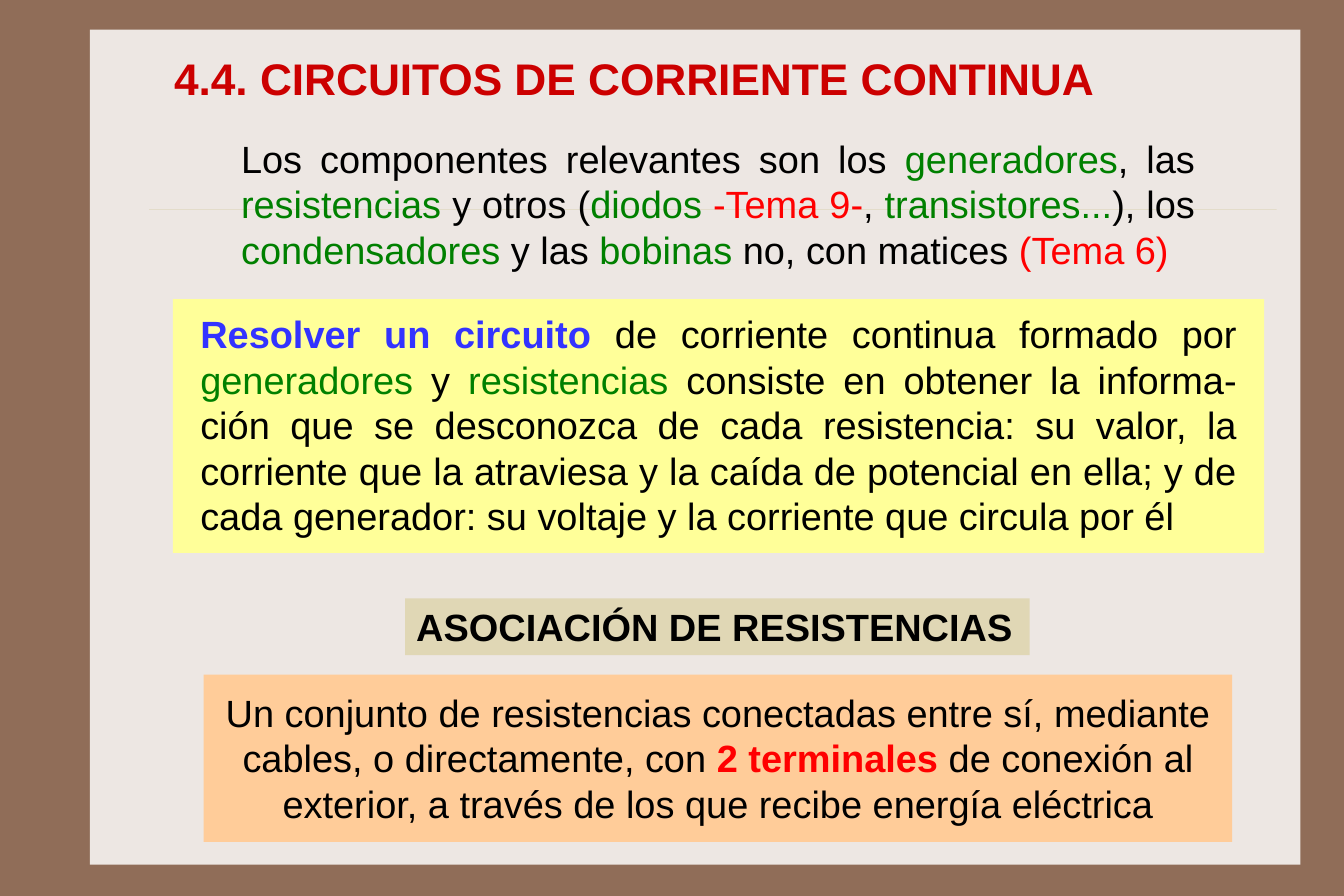
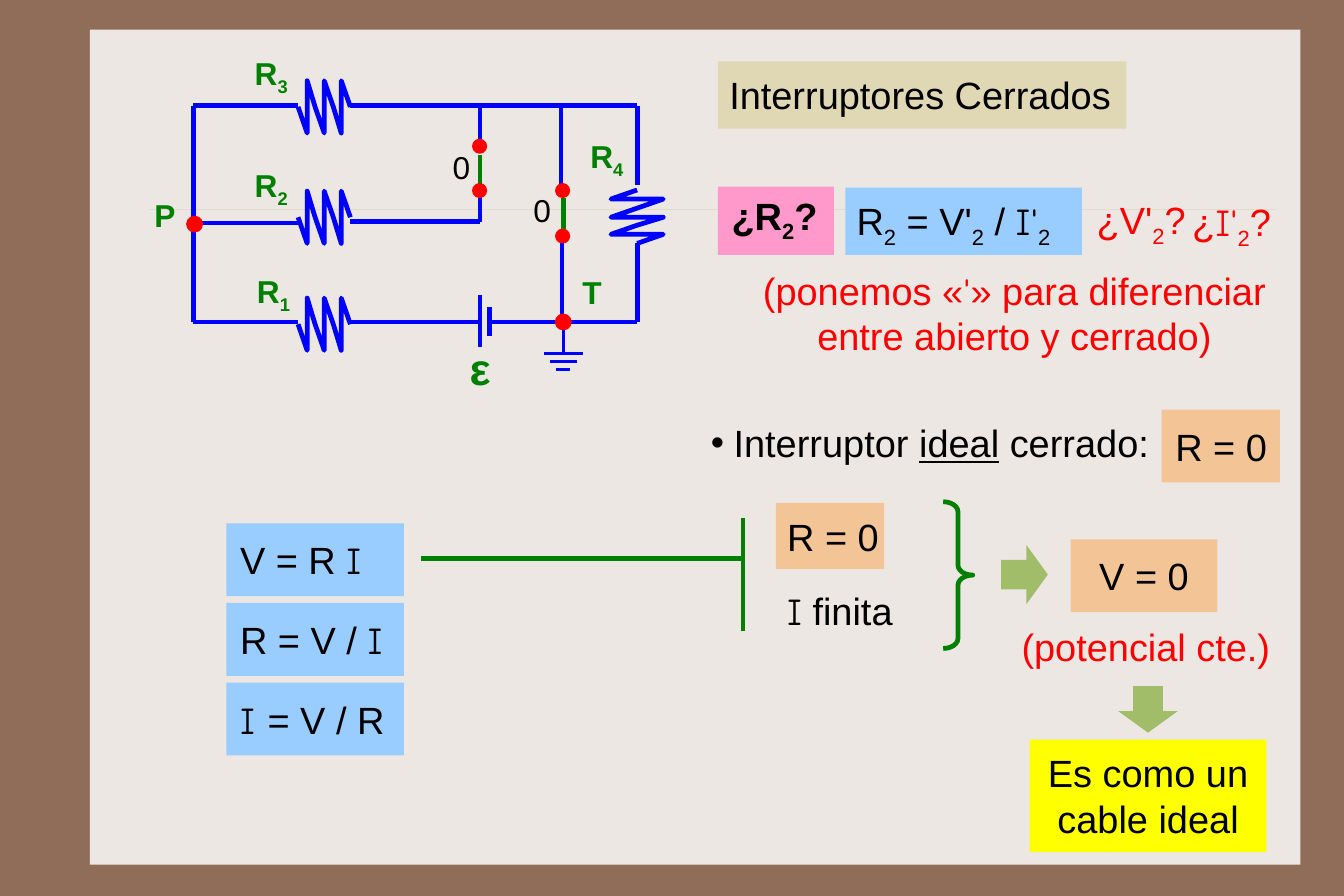
"""Build two slides on direct-current circuits."""
from dataclasses import dataclass

from lxml import etree
from pptx import Presentation
from pptx.dml.color import RGBColor
from pptx.enum import shapes, text
from pptx.oxml import ns
from pptx.util import Pt

PX = 9144
KIND = shapes.MSO_SHAPE
SIDE = text.PP_ALIGN
ANCHOR = text.MSO_ANCHOR


@dataclass(frozen=True)
class Theme:
    """Hold the colours, fonts and type sizes."""
    frame: str = "906D58"
    paper: str = "EDE7E3"
    rule: str = "CBBD83"
    black: str = "000000"
    head: str = "CC0000"
    red: str = "FF0000"
    green: str = "008000"
    blue: str = "3333FF"
    wire: str = "0000FF"
    cream: str = "FFFF99"
    peach: str = "FFCC99"
    sand: str = "E0D7B5"
    sky: str = "99CCFF"
    tan: str = "F3C495"
    pink: str = "FF99CC"
    sun: str = "FFFF00"
    leaf: str = "A1BD69"
    font: str = "Arial"
    alt: str = "Comic Neue"
    big: int = 28
    body: int = 24
    small: int = 20


LOOK = Theme()
THIN = (10, 5, 10, 5)
MID = (10, 9, 10, 9)
WIDE = (12, 12, 12, 12)


def rgb(name):
    """Return a theme colour."""
    return RGBColor.from_string(getattr(LOOK, name))


def place(shape, box):
    """Set a shape's box, given in px."""
    shape.left, shape.top, shape.width, shape.height = (v * PX for v in box)


def paint(shape, fill=None, line=None, width=3):
    """Set the fill and line of a shape."""
    if fill:
        shape.fill.solid()
        shape.fill.fore_color.rgb = rgb(fill)
    else:
        shape.fill.background()
    if line:
        shape.line.color.rgb = rgb(line)
        shape.line.width = Pt(width)
    else:
        shape.line.fill.background()


def mark(run, keys):
    """Apply style words to one run."""
    for key in keys.split():
        if key == "sub":
            run._r.get_or_add_rPr().set("baseline", "-25000")
        elif key == "alt":
            run.font.name = LOOK.alt
        elif key == "bold":
            run.font.bold = True
        elif key == "under":
            run.font.underline = True
        else:
            run.font.color.rgb = rgb(key)


def write(shape, runs, size=LOOK.body, color="black", bold=False, ins=THIN,
          side=SIDE.LEFT, anchor=ANCHOR.TOP, wrap=False, bullet=0):
    """Fill a shape with one paragraph of styled runs."""
    frame = shape.text_frame
    frame.auto_size = text.MSO_AUTO_SIZE.NONE
    frame.word_wrap = wrap
    frame.vertical_anchor = anchor
    (frame.margin_left, frame.margin_top,
     frame.margin_right, frame.margin_bottom) = (v * PX for v in ins)
    para = frame.paragraphs[0]
    para.alignment = side
    if bullet:
        props = para._p.get_or_add_pPr()
        props.set("marL", str(bullet * PX))
        props.set("indent", str(-bullet * PX))
        etree.SubElement(props, ns.qn("a:buFont")).set("typeface", LOOK.font)
        etree.SubElement(props, ns.qn("a:buChar")).set("char", "•")
    font = para.font
    font.name, font.size, font.bold = LOOK.font, Pt(size), bold
    font.color.rgb = rgb(color)
    for part in [runs] if isinstance(runs, str) else runs:
        words, keys = (part, "") if isinstance(part, str) else part
        run = para.add_run()
        run.text = words
        mark(run, keys)


def form(slide, kind, box, fill=None, line=None, width=3, adj=()):
    """Add a preset shape."""
    shape = slide.shapes.add_shape(kind, *(v * PX for v in box))
    shape.shadow.inherit = False
    paint(shape, fill, line, width)
    for i, value in enumerate(adj):
        shape.adjustments[i] = value
    return shape


def panel(slide, box, fill, runs, **style):
    """Add a filled rectangle with text."""
    write(form(slide, KIND.RECTANGLE, box, fill), runs, **style)


def label(slide, box, runs, **style):
    """Add a plain text box."""
    write(slide.shapes.add_textbox(*(v * PX for v in box)), runs, **style)


def title(slide, box, words, fill=None, **style):
    """Place and format the title."""
    shape = slide.shapes.title
    place(shape, box)
    paint(shape, fill)
    write(shape, words, **style)


def line(slide, ends, color="wire", width=3):
    """Add a straight line between two points."""
    link = slide.shapes.add_connector(
        shapes.MSO_CONNECTOR.STRAIGHT, *(v * PX for v in ends))
    link.line.color.rgb = rgb(color)
    link.line.width = Pt(width)
    etree.SubElement(link.element.spPr, ns.qn("a:effectLst"))
    return link


def coil(slide, x, y, down=False):
    """Draw a zigzag resistor from its first end."""
    path = [(0, 0)]
    for k in (1, 3, 5):
        path += [(k, 23), (k, -23), (k + 1, 0)]
    spots = [(x - off, y + round(k * 47 / 6)) if down
             else (x + round(k * 46 / 6), y + off) for k, off in path]
    pen = slide.shapes.build_freeform(*spots[0], scale=PX)
    pen.add_line_segments(spots[1:], close=False)
    shape = pen.convert_to_shape()
    shape.shadow.inherit = False
    paint(shape, None, "wire")


def dot(slide, x, y, size, width):
    """Draw a red node around a centre."""
    form(slide, KIND.OVAL, (x - size // 2, y - size // 2, size, size),
         "red", "red", width)


def master(deck, slide):
    """Move the shared paper and rule to the slide master."""
    base = deck.slide_master
    base.background.fill.solid()
    base.background.fill.fore_color.rgb = rgb("frame")
    paper = form(slide, KIND.RECTANGLE, (79, 26, 1064, 734), "paper")
    rule = line(slide, (131, 184, 1122, 184), "rule", 0.25)
    tint = rule.element.spPr.find(".//" + ns.qn("a:srgbClr"))
    etree.SubElement(tint, ns.qn("a:alpha")).set("val", "40000")
    for i, item in enumerate((paper, rule)):
        base.shapes.element.insert(2 + i, item.element)


def intro(slide):
    """Build the slide on direct-current circuits."""
    title(slide, (142, 39, 932, 58), "4.4. CIRCUITOS DE CORRIENTE CONTINUA",
          size=LOOK.big, color="head", bold=True, ins=(11, 5, 11, 5),
          anchor=ANCHOR.MIDDLE, wrap=True)
    panel(slide, (152, 263, 959, 223), "cream", [
        ("Resolver un circuito", "blue bold"),
        " de corriente continua formado por ", ("generadores", "green"),
        " y ", ("resistencias", "green"),
        " consiste en obtener la informa-ción que se desconozca de cada "
        "resistencia: su valor, la corriente que la atraviesa y la caída de "
        "potencial en ella; y de cada generador: su voltaje y la corriente "
        "que circula por él"],
        ins=(24, 9, 24, 12), side=SIDE.JUSTIFY, anchor=ANCHOR.MIDDLE,
        wrap=True)
    label(slide, (202, 114, 858, 131), [
        "Los componentes relevantes son los ", ("generadores", "green"),
        ", las ", ("resistencias", "green"), " y otros (",
        ("diodos ", "green"), ("-Tema 9-", "red"), ", ",
        ("transistores...", "green"), "), los ", ("condensadores", "green"),
        " y las ", ("bobinas", "green"), " no, con matices ",
        ("(Tema 6)", "red")], side=SIDE.JUSTIFY, wrap=True)
    panel(slide, (179, 593, 904, 147), "peach", [
        "Un conjunto de resistencias conectadas entre sí, mediante cables, "
        "o directamente, con ", ("2 terminales", "red bold"),
        " de conexión al exterior, a través de los que recibe energía "
        "eléctrica"], ins=(14, 13, 14, 13), side=SIDE.CENTER, wrap=True)
    panel(slide, (356, 526, 549, 50), "sand", "ASOCIACIÓN DE RESISTENCIAS",
          bold=True)


def circuit(slide):
    """Draw the circuit with its labels."""
    wires = [
        (430, 270, 430, 295), (422, 259, 422, 305), (308, 93, 560, 93),
        (422, 195, 308, 195), (170, 93, 170, 283), (422, 93, 422, 124),
        (422, 163, 422, 195), (262, 93, 170, 93), (262, 196, 170, 196),
        (262, 283, 170, 283), (422, 283, 308, 283), (560, 283, 430, 283),
        (560, 93, 560, 163), (560, 214, 560, 283), (493, 163, 493, 93),
        (494, 213, 494, 283)]
    for ends in wires:
        line(slide, ends)
    for ends in ((495, 201, 495, 174), (422, 163, 422, 136)):
        line(slide, ends, "green")
    for x, y in ((494, 167), (421, 167), (421, 128), (494, 207)):
        dot(slide, x, y, 9, 3)
    for y in (94, 191, 285):
        coil(slide, 262, y)
    coil(slide, 560, 167, down=True)
    line(slide, (495, 284, 495, 310), width=2)
    for i, half in enumerate((17, 12, 6)):
        y = 311 + 7 * i
        line(slide, (495 - half, y, 495 + half, y), width=2)
    for x, y in ((495, 283), (171, 197)):
        dot(slide, x, y, 12, 2)
    names = [(216, 230, "R", "1"), (214, 137, "R", "2"), (214, 38, "R", "3"),
             (509, 111, "R", "4"), (126, 163, "P", ""), (502, 231, "T", "")]
    for x, y, name, sub in names:
        runs = [name, (sub, "sub")] if sub else name
        label(slide, (x, y, 50, 51), runs, size=LOOK.small, color="green",
              bold=True, ins=MID)
    for x, y in ((388, 121), (459, 159)):
        label(slide, (x, y, 35, 51), "0", size=LOOK.small, ins=MID)
    label(slide, (403, 295, 40, 57), "ε", size=LOOK.big, color="green",
          bold=True)


def ideal(slide):
    """Build the slide on closed switches."""
    title(slide, (631, 54, 359, 59), "Interruptores Cerrados", "sand",
          ins=MID)
    circuit(slide)
    two = ("2", "sub")
    prime = ("I'", "alt")
    amp = ("I", "alt")
    panel(slide, (631, 164, 102, 60), "pink", ["¿R", two, "?"], bold=True,
          ins=(12, 8, 12, 12), anchor=ANCHOR.MIDDLE)
    panel(slide, (743, 165, 208, 59), "sky",
          ["R", two, " = V'", two, " / ", prime, two], ins=MID)
    label(slide, (954, 168, 101, 50), ["¿V'", two, "?"], color="red")
    label(slide, (1038, 170, 103, 50), ["¿", prime, two, "?"], color="red")
    label(slide, (652, 230, 479, 91), [
        "(ponemos «", ("'", "alt"),
        "» para diferenciar entre abierto y cerrado)"],
        color="red", side=SIDE.CENTER, wrap=True)
    label(slide, (615, 360, 410, 51),
          ["Interruptor ", ("ideal", "under"), " cerrado:"], ins=MID,
          bullet=20)
    panel(slide, (1021, 360, 104, 64), "tan", "R = 0", ins=WIDE,
          anchor=ANCHOR.MIDDLE)
    laws = (["V = R ", amp], ["R = V / ", amp], [("I ", "alt"), "= V / R"])
    for i, law in enumerate(laws):
        panel(slide, (199, 460 + 70 * i, 156, 64), "sky", law, ins=WIDE,
              anchor=ANCHOR.MIDDLE)
    line(slide, (370, 491, 653, 491), "green")
    line(slide, (653, 555, 653, 455), "green")
    panel(slide, (682, 442, 95, 58), "tan", "R = 0", ins=MID)
    label(slide, (682, 507, 125, 58), [amp, " finita"], ins=MID)
    form(slide, KIND.RIGHT_BRACE, (829, 441, 26, 129), None, "green",
         adj=(0.34, 0.5))
    form(slide, KIND.RIGHT_ARROW, (880, 479, 41, 52), "leaf",
         adj=(0.5, 0.46))
    panel(slide, (941, 474, 129, 64), "tan", "V = 0", ins=WIDE,
          side=SIDE.CENTER, anchor=ANCHOR.MIDDLE)
    label(slide, (888, 539, 241, 59), "(potencial cte.)", color="red",
          ins=MID)
    form(slide, KIND.DOWN_ARROW, (983, 603, 52, 41), "leaf",
         adj=(0.5, 0.46))
    panel(slide, (905, 650, 208, 99), "sun", "Es como un cable ideal",
          ins=MID, side=SIDE.CENTER, wrap=True)


def main():
    """Build and save the deck."""
    deck = Presentation()
    deck.slide_width, deck.slide_height = Pt(850.5), Pt(567)
    layout = deck.slide_layouts[5]
    first, second = (deck.slides.add_slide(layout) for _ in range(2))
    master(deck, first)
    intro(first)
    ideal(second)
    deck.save("out.pptx")


if __name__ == "__main__":
    main()
